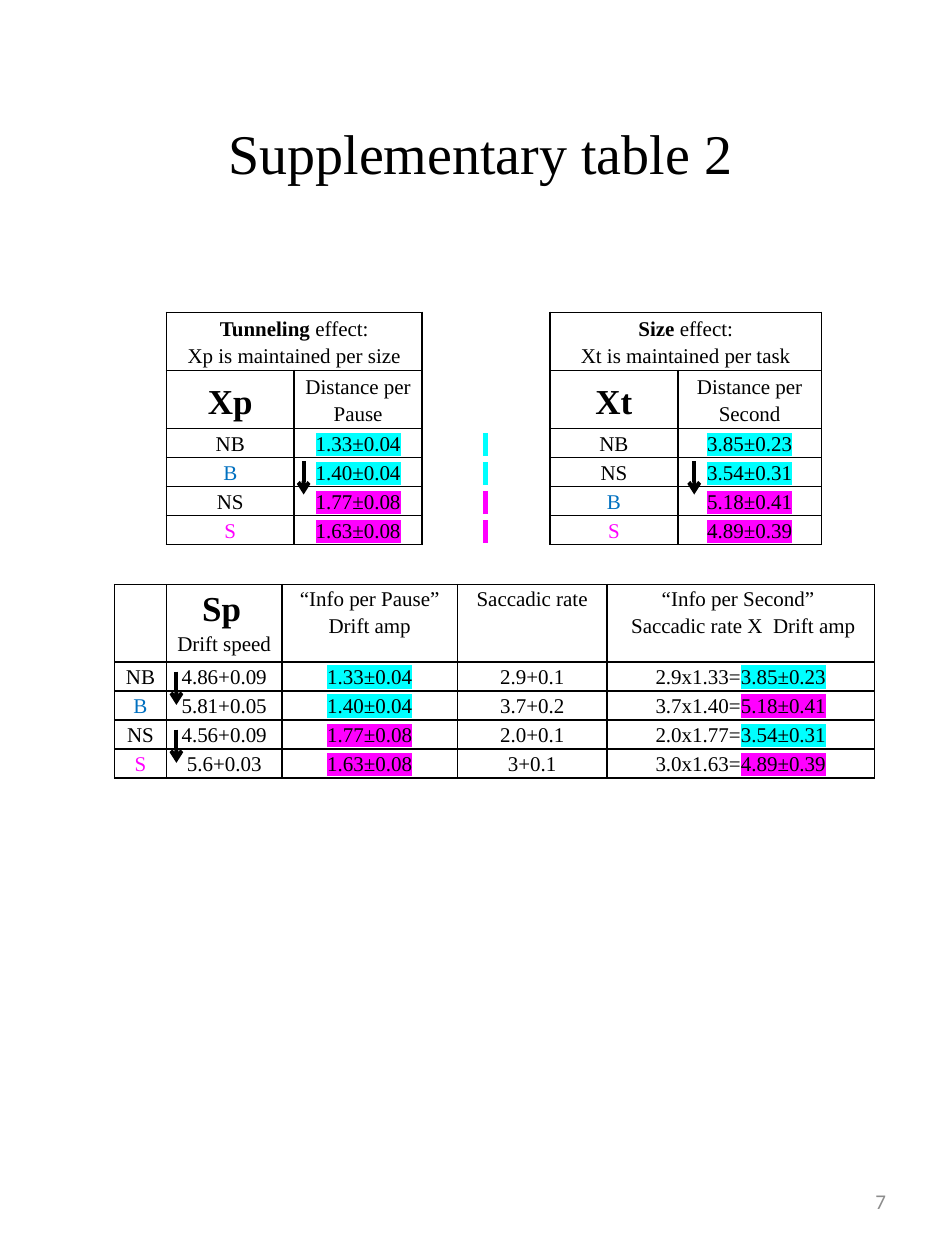
from lxml import etree
from pptx import Presentation
from pptx.dml.color import RGBColor
from pptx.enum.shapes import MSO_CONNECTOR
from pptx.enum.text import MSO_ANCHOR, PP_ALIGN
from pptx.oxml.ns import qn
from pptx.util import Inches, Pt

BLACK = RGBColor(0x00, 0x00, 0x00)
GREY = RGBColor(0x8C, 0x8C, 0x8C)
BLUE = RGBColor(0x00, 0x70, 0xC0)
CYAN = RGBColor(0x00, 0xFF, 0xFF)
MAGENTA = RGBColor(0xFF, 0x00, 0xFF)

STRAIGHT = MSO_CONNECTOR.STRAIGHT
TOP, MIDDLE = MSO_ANCHOR.TOP, MSO_ANCHOR.MIDDLE
CENTER, RIGHT = PP_ALIGN.CENTER, PP_ALIGN.RIGHT

COLUMNS, ROWS = 75, 100  # page grid, one unit is a tenth of an inch
LINE = 2.12              # height of a table row with one line of text


def unit(count):
    return Inches(count / 10)


def span(text, **style):
    return text, style


def low(text):
    return span(text, mark=CYAN)


def high(text):
    return span(text, mark=MAGENTA)


NB, NS = span("NB"), span("NS")
B, S = span("B", color=BLUE), span("S", color=MAGENTA)


class Page:
    font = "Times New Roman"
    size = 12
    spacing = 1.15

    def __init__(self, deck):
        self.slide = deck.slides.add_slide(deck.slide_layouts[6])

    def add_spans(self, para, spans, align=CENTER):
        para.alignment = align
        for text, style in spans:
            run = para.add_run()
            run.text = text
            font = run.font
            font.name = style.get("font", self.font)
            font.size = Pt(style.get("size", self.size))
            font.bold = style.get("bold", False)
            font.color.rgb = style.get("color", BLACK)
            if "mark" in style:
                mark = etree.Element(qn("a:highlight"))
                etree.SubElement(mark, qn("a:srgbClr"), val=str(style["mark"]))
                run._r.rPr.find(qn("a:solidFill")).addnext(mark)

    def text(self, col, row, width, height, content, align=CENTER):
        box = self.slide.shapes.add_textbox(*map(unit, (col, row, width, height)))
        frame = box.text_frame
        frame.word_wrap = True
        frame.vertical_anchor = MIDDLE
        self.add_spans(frame.paragraphs[0], [content], align)

    def border(self, cell, sides):
        props = cell._tc.get_or_add_tcPr()
        for side in "LRTB":
            line = etree.SubElement(props, qn("a:ln" + side), w=str(Pt(1)))
            if side in sides:
                fill = etree.SubElement(line, qn("a:solidFill"))
                etree.SubElement(fill, qn("a:srgbClr"), val=str(BLACK))
            else:
                etree.SubElement(line, qn("a:noFill"))

    def table(self, col, row, widths, heights, cells, anchor, gap=None):
        """Each cell is a list of paragraphs, each paragraph a list of spans."""
        frame = self.slide.shapes.add_table(
            len(heights), len(widths), unit(col), unit(row),
            unit(sum(widths)), unit(sum(heights)))
        table = frame.table
        table.first_row = table.horz_banding = False
        for column, width in zip(table.columns, widths):
            column.width = unit(width)
        for line, height in zip(table.rows, heights):
            line.height = unit(height)
        for r, contents in enumerate(cells):
            for c, content in enumerate(contents):
                cell = table.cell(r, c)
                self.border(cell, "LR" if c == gap else "LRTB")
                cell.fill.background()
                cell.vertical_anchor = anchor
                cell.margin_left = cell.margin_right = unit(0.7)
                cell.margin_top = cell.margin_bottom = 0
                text = cell.text_frame
                for i, spans in enumerate(content):
                    para = text.add_paragraph() if i else text.paragraphs[0]
                    para.line_spacing = self.spacing
                    self.add_spans(para, spans)
        return table

    def down_arrow(self, col, row, length=2.65):
        arrow = self.slide.shapes.add_connector(
            STRAIGHT, unit(col), unit(row), unit(col), unit(row + length))
        arrow.line.color.rgb = BLACK
        arrow.line.width = Pt(2.25)
        props = arrow._element.spPr
        etree.SubElement(props.find(qn("a:ln")), qn("a:tailEnd"), type="arrow")
        etree.SubElement(props, qn("a:effectLst"))


def simple(*spans):
    """A table row whose cells each hold one span."""
    return [[[item]] for item in spans]


def main():
    deck = Presentation()
    deck.slide_width, deck.slide_height = unit(COLUMNS), unit(ROWS)
    page = Page(deck)

    # Page number and title
    page.text(53.8, 92.7, 17.5, 5.3, span("7", font="Calibri", color=GREY), RIGHT)
    page.text(4.4, 3.7, 67.5, 16.7, span("Supplementary table 2", size=32))

    # Tunneling and size effects, side by side
    effects = [
        [[[span("Tunneling", bold=True), span(" effect:")],
          [span("Xp is maintained per size")]], [], [],
         [[span("Size", bold=True), span(" effect:")],
          [span("Xt is maintained per task")]], []],
        [[[span("Xp", size=20, bold=True)]], [[span("Distance per Pause")]], [],
         [[span("Xt", size=20, bold=True)]], [[span("Distance per Second")]]],
        simple(NB, low("1.33±0.04"), low(" "), NB, low("3.85±0.23")),
        simple(B, low("1.40±0.04"), low(" "), NS, low("3.54±0.31")),
        simple(NS, high("1.77±0.08"), high(" "), B, high("5.18±0.41")),
        simple(S, high("1.63±0.08"), high(" "), S, high("4.89±0.39")),
    ]
    table = page.table(13.2, 24.8, [10.15] * 4 + [11.4], [2 * LINE] * 2 + [LINE] * 4,
                       effects, MIDDLE, gap=2)
    for first in (0, 3):
        table.cell(0, first).merge(table.cell(0, first + 1))
    for col in (24.1, 55.1):
        page.down_arrow(col, 36.6)

    # Drift speed, amplitude and saccadic rate
    drift = [
        [[], [[span("Sp", size=20, bold=True), span(" ")], [span("Drift speed")]],
         [[span("“Info per Pause” Drift amp")]], [[span("Saccadic rate")]],
         [[span("“Info per Second” ")], [span(" Saccadic rate X  Drift amp")]]],
    ]
    for name, speed, amp, rate, product, result in (
            (NB, "4.86+0.09", low("1.33±0.04"), "2.9+0.1", "2.9x1.33=", low("3.85±0.23")),
            (B, "5.81+0.05", low("1.40±0.04"), "3.7+0.2", "3.7x1.40=", high("5.18±0.41")),
            (NS, "4.56+0.09", high("1.77±0.08"), "2.0+0.1", "2.0x1.77=", low("3.54±0.31")),
            (S, "5.6+0.03", high("1.63±0.08"), "3+0.1", "3.0x1.63=", high("4.89±0.39"))):
        drift.append(simple(name, span(speed), amp, span(rate))
                     + [[[span(product), result]]])
    page.table(9.1, 46.4, [4.1, 9.2, 13.9, 11.9, 21.2], [5.7] + [LINE] * 4, drift, TOP)
    for row in (53.3, 57.9):
        page.down_arrow(14, row)

    deck.save("out.pptx")


if __name__ == "__main__":
    main()
